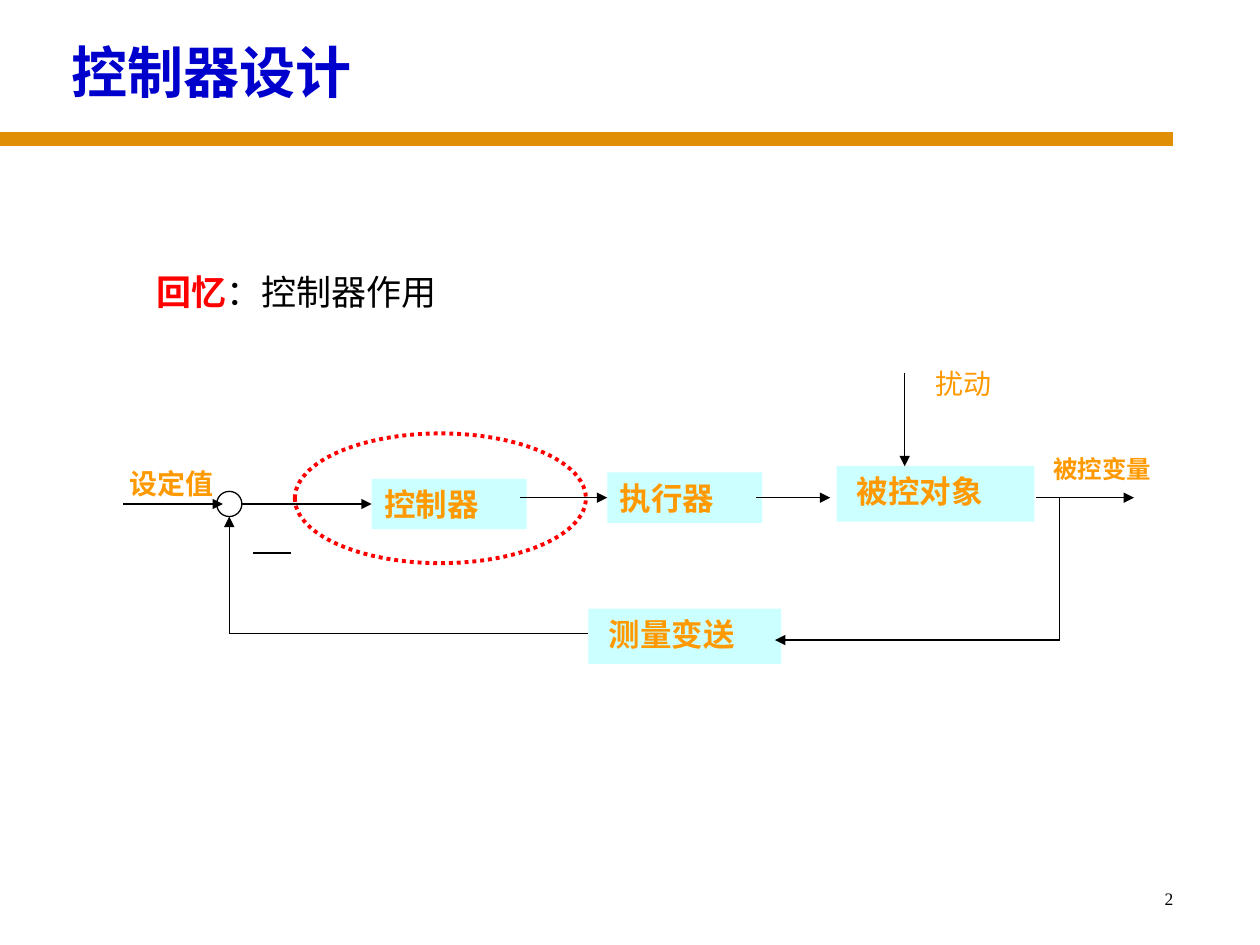
from dataclasses import dataclass
from typing import Optional

from lxml import etree
from pptx import Presentation
from pptx.dml.color import RGBColor
from pptx.enum.dml import MSO_LINE
from pptx.enum.lang import MSO_LANGUAGE_ID
from pptx.enum.shapes import MSO_CONNECTOR, MSO_SHAPE
from pptx.enum.text import MSO_ANCHOR, MSO_AUTO_SIZE, PP_ALIGN
from pptx.oxml.ns import qn
from pptx.util import Inches, Pt

STRAIGHT = MSO_CONNECTOR.STRAIGHT
RECTANGLE, OVAL = MSO_SHAPE.RECTANGLE, MSO_SHAPE.OVAL
DOTTED = MSO_LINE.ROUND_DOT
TOP, NO_RESIZE = MSO_ANCHOR.TOP, MSO_AUTO_SIZE.NONE
LEFT, RIGHT = PP_ALIGN.LEFT, PP_ALIGN.RIGHT
CHINESE = MSO_LANGUAGE_ID.SIMPLIFIED_CHINESE
LEFT_SIDE = 1

WIDTH, HEIGHT = Inches(10), Inches(7.5)
COLUMNS, ROWS = 100, 75


@dataclass(frozen=True)
class Theme:
    heading_font: str = "Noto Sans CJK SC"
    label_font: str = "DejaVu Sans"
    number_font: str = "Times New Roman"
    title: str = "0000CC"
    accent: str = "FF0000"
    ink: str = "000000"
    bar: str = "DF8E05"
    label: str = "FF9900"
    block: str = "CCFFFF"
    title_size: float = 32
    body_size: float = 20
    block_size: float = 18
    label_size: float = 16
    output_size: float = 14
    number_size: float = 10
    thin: float = 0.75
    dotted: float = 2.25
    bar_width: float = 8


THEME = Theme()


@dataclass(frozen=True)
class Area:
    column: float
    row: float
    columns: float
    rows: float

    def lengths(self) -> tuple:
        return (across(self.column), down(self.row),
                across(self.columns), down(self.rows))


@dataclass(frozen=True)
class Span:
    text: str
    size: float
    color: str
    font: str = THEME.label_font
    bold: bool = True


@dataclass(frozen=True)
class Block:
    text: str
    area: Area
    inset: float = 1


@dataclass(frozen=True)
class Wire:
    start: tuple
    end: tuple
    arrow: bool = True
    target: Optional[str] = None


def across(columns: float) -> int:
    return round(WIDTH * columns / COLUMNS)


def down(rows: float) -> int:
    return round(HEIGHT * rows / ROWS)


def write(box, spans: list, inset: float = 1, top: float = 0.5, align=LEFT) -> None:
    frame = box.text_frame
    layout = {"word_wrap": True, "auto_size": NO_RESIZE, "vertical_anchor": TOP,
              "margin_left": across(inset), "margin_right": across(1),
              "margin_top": down(top), "margin_bottom": down(0.5)}
    for name, value in layout.items():
        setattr(frame, name, value)
    para = frame.paragraphs[0]
    for name, value in {"alignment": align, "space_before": Pt(0)}.items():
        setattr(para, name, value)
    for span in spans:
        run = para.add_run()
        run.text = span.text
        font = {"name": span.font, "size": Pt(span.size), "bold": span.bold,
                "language_id": CHINESE}
        for name, value in font.items():
            setattr(run.font, name, value)
        run.font.color.rgb = RGBColor.from_string(span.color)
        latin = run.font._element.find(qn("a:latin"))
        east_asian = etree.Element(qn("a:ea"), typeface=span.font)
        latin.addnext(east_asian)


def place(box, area: Area) -> None:
    for name, value in zip(("left", "top", "width", "height"), area.lengths()):
        setattr(box, name, value)


def add_label(page, area: Area, span: Span, align=LEFT) -> None:
    write(page.shapes.add_textbox(*area.lengths()), [span], align=align)


def add_block(page, block: Block):
    box = page.shapes.add_shape(RECTANGLE, *block.area.lengths())
    box.shadow.inherit = False
    box.fill.solid()
    box.fill.fore_color.rgb = RGBColor.from_string(THEME.block)
    box.line.fill.background()
    write(box, [Span(block.text, THEME.block_size, THEME.label)], block.inset)
    return box


def add_ring(page, area: Area, color: str, width: float, dash=None) -> None:
    ring = page.shapes.add_shape(OVAL, *area.lengths())
    ring.shadow.inherit = False
    ring.fill.background()
    ring.line.color.rgb = RGBColor.from_string(color)
    for name, value in {"width": Pt(width), "dash_style": dash}.items():
        setattr(ring.line, name, value)


def add_wire(page, wire: Wire, blocks: dict, color: str = THEME.ink,
             width: float = THEME.thin) -> None:
    (x1, y1), (x2, y2) = wire.start, wire.end
    line = page.shapes.add_connector(STRAIGHT, across(x1), down(y1), across(x2), down(y2))
    if wire.target:
        line.end_connect(blocks[wire.target], LEFT_SIDE)
    line.line.color.rgb = RGBColor.from_string(color)
    line.line.width = Pt(width)
    if wire.arrow:
        etree.SubElement(line.line._get_or_add_ln(), qn("a:tailEnd"), type="triangle")
    etree.SubElement(line._element.spPr, qn("a:effectLst"))


BLOCKS = [
    Block("被控对象", Area(66.4, 37, 15.7, 4.4), 1.6),
    Block("测量变送", Area(46.7, 48.3, 15.3, 4.4), 1.6),
    Block("控制器", Area(29.5, 38, 12.3, 4)),
    Block("执行器", Area(48.2, 37.5, 12.3, 4)),
]

SUM_X, FEEDBACK_X = 18.2, 84.1
INPUT_Y, FORWARD_Y = 40, 39.5
RETURN_Y, MEASURED_Y = 50.3, 50.8

WIRES = [
    Wire((82.2, FORWARD_Y), (90, FORWARD_Y)),
    Wire((9.8, INPUT_Y), (17.7, INPUT_Y)),
    Wire((19.1, INPUT_Y), (29.5, INPUT_Y), target="控制器"),
    Wire((41.3, FORWARD_Y), (48.2, FORWARD_Y), target="执行器"),
    Wire((60, FORWARD_Y), (65.9, FORWARD_Y)),
    Wire((FEEDBACK_X, MEASURED_Y), (61.5, MEASURED_Y)),
    Wire((FEEDBACK_X, FORWARD_Y), (FEEDBACK_X, MEASURED_Y), False),
    Wire((SUM_X, RETURN_Y), (SUM_X, 41)),
    Wire((SUM_X, RETURN_Y), (46.7, RETURN_Y), False),
    Wire((20.1, 43.9), (23.1, 43.9), False),
    Wire((71.8, 29.6), (71.8, 37)),
]

LABELS = [
    (Area(82.6, 35.5, 11.3, 6.9), Span("被控变量", THEME.output_size, THEME.label)),
    (Area(9.3, 36.5, 11.3, 7.7), Span("设定值", THEME.label_size, THEME.label)),
    (Area(73.3, 28.6, 10.8, 3.7),
     Span("扰动", THEME.label_size, THEME.label, bold=False)),
]


def main() -> None:
    deck = Presentation()
    deck.slide_width, deck.slide_height = WIDTH, HEIGHT
    page = deck.slides.add_slide(deck.slide_layouts[1])

    title, body = page.placeholders
    place(title, Area(3.5, 2.1, 75.6, 7.7))
    write(title, [Span("控制器设计", THEME.title_size, THEME.title, THEME.heading_font)],
          2.2, 0.9)
    place(body, Area(11.4, 21, 71.7, 4.4))
    properties = body.text_frame.paragraphs[0]._p.get_or_add_pPr()
    for name in ("marL", "indent"):
        properties.set(name, "0")
    etree.SubElement(properties, qn("a:buNone"))
    write(body, [
        Span("回忆", THEME.body_size, THEME.accent, THEME.heading_font),
        Span("：控制器作用", THEME.body_size, THEME.ink, THEME.heading_font, False),
    ])

    add_wire(page, Wire((0, 11), (93.1, 11), False), {}, THEME.bar, THEME.bar_width)
    add_label(page, Area(73.3, 70, 20.8, 5),
              Span("2", THEME.number_size, THEME.ink, THEME.number_font, False), RIGHT)

    blocks = {block.text: add_block(page, block) for block in BLOCKS}
    for wire in WIRES:
        add_wire(page, wire, blocks)
    for area, span in LABELS:
        add_label(page, area, span)
    add_ring(page, Area(17.2, 39, 2, 2), THEME.ink, THEME.thin)
    add_ring(page, Area(23.4, 34.4, 23.1, 10.3), THEME.accent, THEME.dotted, DOTTED)

    deck.save("out.pptx")


if __name__ == "__main__":
    main()
